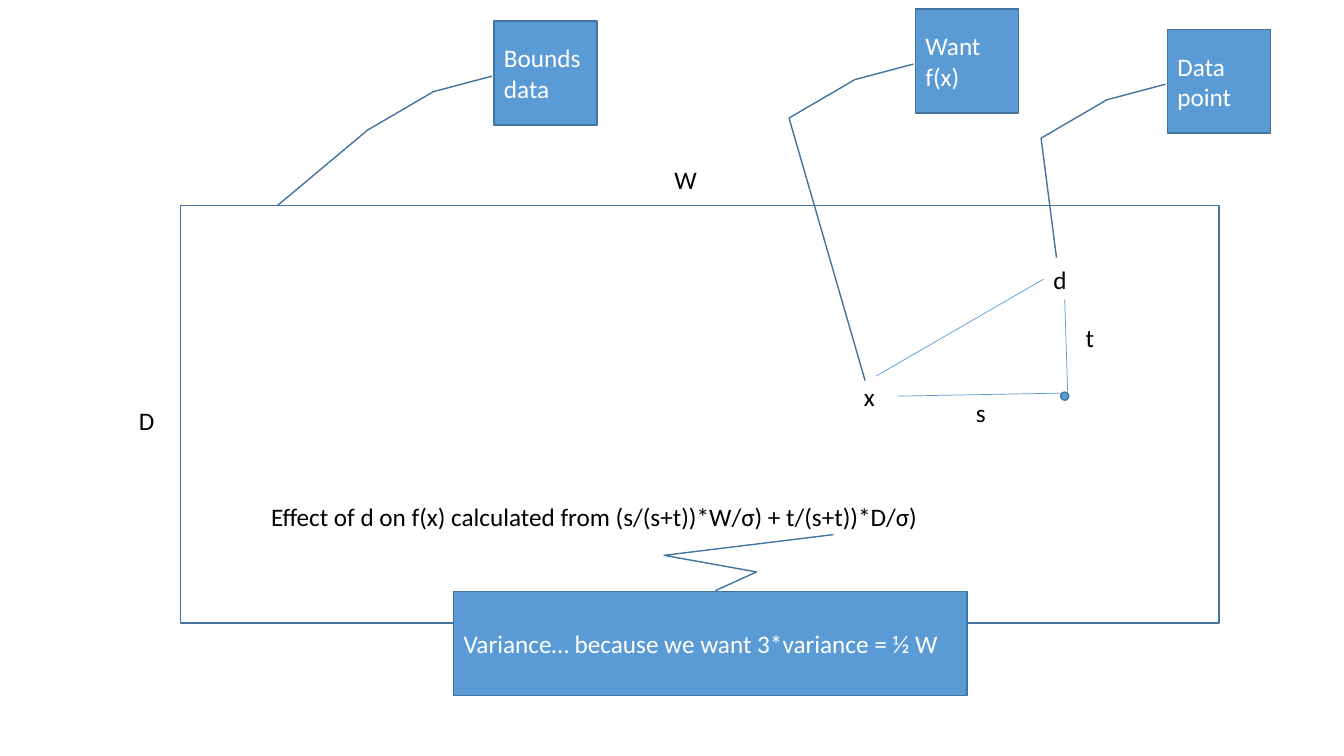
import pptx
import pptx.dml.color
import pptx.enum.shapes
import pptx.enum.text
import pptx.oxml
import pptx.oxml.ns
import pptx.util

SHAPES = pptx.enum.shapes.MSO_SHAPE
PX = 9144  # EMU per px, 100 px to the inch


def px(*lengths):
    return [pptx.util.Emu(length * PX) for length in lengths]


def color(hex_string):
    return pptx.dml.color.RGBColor.from_string(hex_string)


class Sketch:
    """Style and current slide of the diagram."""
    font, size = "Calibri", 18
    blue, outline, black, white = "5B9BD5", "43739E", "000000", "FFFFFF"

    def __init__(self, slide):
        self.slide = slide

    def set_text(self, shape, text, text_color, anchor):
        frame = shape.text_frame
        frame.word_wrap = True
        frame.vertical_anchor = anchor
        paragraph = frame.paragraphs[0]
        paragraph.text = text
        paragraph.alignment = pptx.enum.text.PP_ALIGN.LEFT
        paragraph.font.name = self.font
        paragraph.font.size = pptx.util.Pt(self.size)
        paragraph.font.color.rgb = color(text_color)

    def shape(self, kind, box, filled=True):
        shape = self.slide.shapes.add_shape(kind, *px(*box))
        shape.shadow.inherit = False
        if filled:
            shape.fill.solid()
            shape.fill.fore_color.rgb = color(self.blue)
        else:
            shape.fill.background()
        shape.line.color.rgb = color(self.outline)
        shape.line.width = pptx.util.Pt(1)
        return shape

    def callout(self, text, box, pointer):
        callout = self.shape(SHAPES.LINE_CALLOUT_3, box)
        for index, value in enumerate(pointer):
            callout.adjustments[index] = value
        self.set_text(callout, text, self.white, pptx.enum.text.MSO_ANCHOR.MIDDLE)

    def label(self, text, left, top, width=43):
        label = self.slide.shapes.add_textbox(*px(left, top, width, 40))
        self.set_text(label, text, self.black, pptx.enum.text.MSO_ANCHOR.TOP)

    def line(self, start, end):
        line = self.slide.shapes.add_connector(
            pptx.enum.shapes.MSO_CONNECTOR.STRAIGHT, *px(*start, *end))
        line.line.color.rgb = color(self.blue)
        line.line.width = pptx.util.Pt(0.5)
        properties = line._element.spPr
        properties.append(pptx.oxml.parse_xml(
            f"<a:effectLst {pptx.oxml.ns.nsdecls('a')}/>"))


def main():
    deck = pptx.Presentation()
    deck.slide_width, deck.slide_height = px(1333, 750)
    sketch = Sketch(deck.slides.add_slide(deck.slide_layouts[6]))

    # Data bounds
    sketch.shape(SHAPES.RECTANGLE, (179, 204, 1030, 414), filled=False)

    # Triangle between x and d
    sketch.line((869, 373), (1035, 277))
    sketch.shape(SHAPES.OVAL, (1052, 389, 8, 8))
    sketch.line((1059, 390), (1056, 297))
    sketch.line((890, 393), (1053, 390))

    # Names of points, distances and sides
    for name, left, top in (("x", 847, 373), ("d", 1035, 257), ("s", 958, 389),
                            ("t", 1067, 315), ("W", 659, 158), ("D", 128, 397)):
        sketch.label(name, left, top)

    # Square callouts share a bent pointer and differ in its tip
    bend = (0.53, -0.02, 0.68, -0.59, 1.05, -1.23)
    for text, left, top, tip in (("Bounds data", 490, 21, (1.78, -2.11)),
                                 ("Want f(x)", 908, 9, (3.58, -0.49)),
                                 ("Data point", 1158, 29, (2.2, -1.08))):
        sketch.callout(text, (left, top, 102, 103), bend + tip)

    # Formula and its note
    sketch.label("Effect of d on f(x) calculated from (s/(s+t))*W/σ) + t/(s+t))*D/σ)",
                 259, 492, width=883)
    sketch.callout("Variance… because we want 3*variance = ½ W", (450, 587, 509, 103),
                   (-0.01, 0.51, -0.19, 0.59, -0.35, 0.41, -0.55, 0.74))

    deck.save("out.pptx")


if __name__ == "__main__":
    main()
